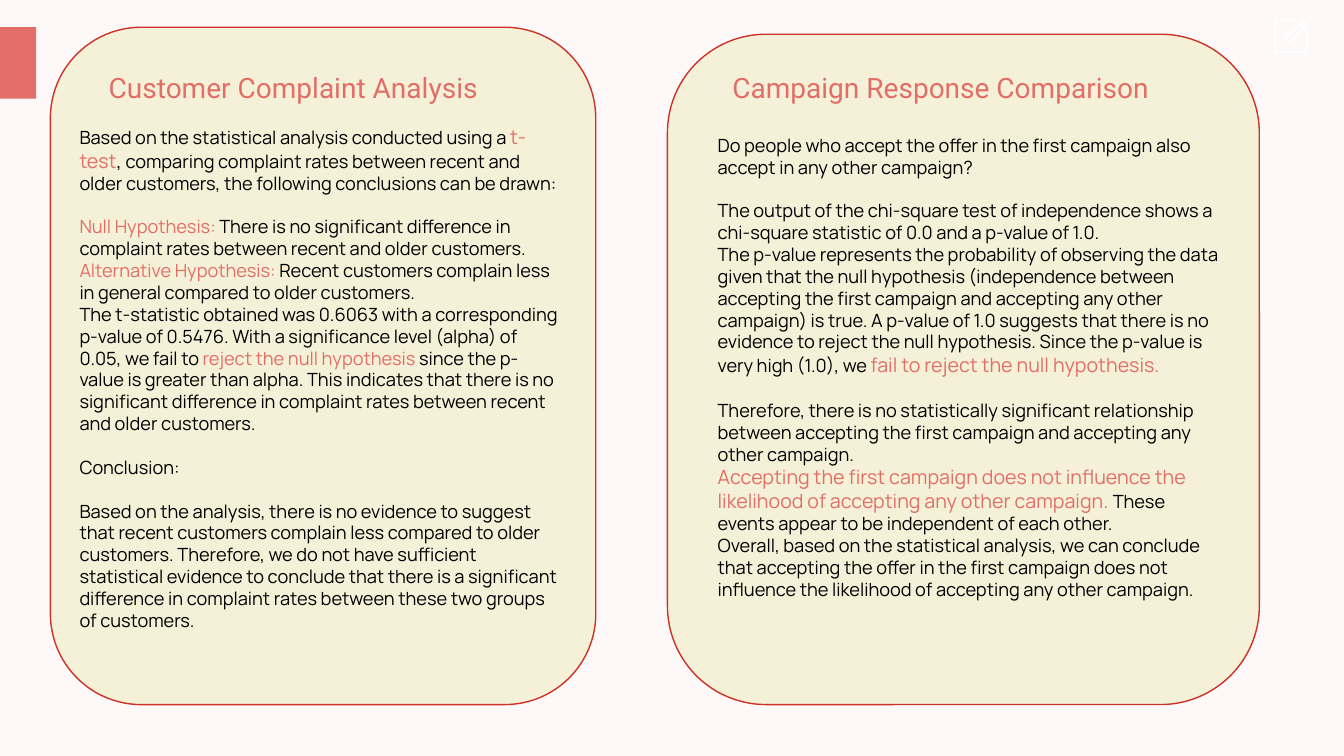
from dataclasses import dataclass

from pptx import Presentation
from pptx.dml.color import RGBColor
from pptx.enum.shapes import MSO_SHAPE
from pptx.enum.text import MSO_AUTO_SIZE, PP_ALIGN
from pptx.util import Inches, Pt

RECTANGLE, ROUNDED = MSO_SHAPE.RECTANGLE, MSO_SHAPE.ROUNDED_RECTANGLE
LEFT, CENTER = PP_ALIGN.LEFT, PP_ALIGN.CENTER
GROW = MSO_AUTO_SIZE.SHAPE_TO_FIT_TEXT

COLORS = {
    "page": "FEF8F8",
    "accent": "E16E67",
    "card": "F5F0D8",
    "border": "CD3229",
    "text": "000000",
    "icon": "FFFFFF",
}
TITLE_FONT, BODY_FONT = "Roboto", "Manrope"
GAP, LARGE_GAP = 15.6, 16.8  # one line of 13 or 14 point text


@dataclass
class Area:
    """Left, top, width and height in percent of the slide."""
    left: float
    top: float
    width: float
    height: float


@dataclass
class Span:
    text: str
    color: str = "text"
    size: int = 13
    font: str = BODY_FONT


@dataclass
class Para:
    spans: list[Span]
    before: float = 0
    align: PP_ALIGN = LEFT


@dataclass
class Panel:
    card: Area
    title_area: Area
    title: str
    title_align: PP_ALIGN
    body_area: Area
    body: list[Para]


# Content of the two panels
COMPLAINTS = Panel(
    Area(3.75, 3.6, 40.58, 89.6),
    Area(7.35, 8.67, 34.88, 5.87), "Customer Complaint Analysis", LEFT,
    Area(5.18, 15.87, 37.06, 71.73),
    [
        Para([
            Span("Based on the statistical analysis conducted using a"),
            Span(" t-test", "accent", 14),
            Span(",", size=14),
            Span(" comparing complaint rates between recent and older customers, "
                 "the following conclusions can be drawn:"),
        ]),
        Para([
            Span("Null Hypothesis: ", "accent"),
            Span("There is no significant difference in complaint rates between "
                 "recent and older customers."),
        ], GAP),
        Para([
            Span("Alternative Hypothesis: ", "accent"),
            Span("Recent customers complain less in general compared to older "
                 "customers."),
        ]),
        Para([
            Span("The t-statistic obtained was 0.6063 with a corresponding p-value "
                 "of 0.5476. With a significance level (alpha) of 0.05, we fail to"),
            Span(" reject the null hypothesis ", "accent"),
            Span("since the p-value is greater than alpha. This indicates that "
                 "there is no significant difference in complaint rates between "
                 "recent and older customers."),
        ]),
        Para([Span("Conclusion:")], GAP),
        Para([
            Span("Based on the analysis, there is no evidence to suggest that "
                 "recent customers complain less compared to older customers. "
                 "Therefore, we do not have sufficient statistical evidence to "
                 "conclude that there is a significant difference in complaint "
                 "rates between these two groups of customers."),
        ], GAP),
    ],
)
CAMPAIGNS = Panel(
    Area(49.66, 4.53, 44.04, 88.67),
    Area(49.06, 8.67, 41.86, 5.87), "Campaign Response Comparison", CENTER,
    Area(52.66, 17.07, 38.78, 69.6),
    [
        Para([Span("Do people who accept the offer in the first campaign also "
                   "accept in any other campaign?")]),
        Para([Span("The output of the chi-square test of independence shows a "
                   "chi-square statistic of 0.0 and a p-value of 1.0.")], GAP),
        Para([
            Span("The p-value represents the probability of observing the data "
                 "given that the null hypothesis (independence between accepting "
                 "the first campaign and accepting any other campaign) is true. "
                 "A p-value of 1.0 suggests that there is no evidence to reject "
                 "the null hypothesis. Since the p-value is very high (1.0), we "),
            Span("fail to reject the null hypothesis.", "accent", 14),
        ]),
        Para([Span("Therefore, there is no statistically significant relationship "
                   "between accepting the first campaign and accepting any other "
                   "campaign.")], LARGE_GAP),
        Para([
            Span("Accepting the first campaign does not influence the likelihood "
                 "of accepting any other campaign. ", "accent", 14),
            Span("These events appear to be independent of each other."),
        ]),
        Para([Span("Overall, based on the statistical analysis, we can conclude "
                   "that accepting the offer in the first campaign does not "
                   "influence the likelihood of accepting any other campaign.")]),
    ],
)

# Edit icon: pencil, its two openings and the open frame
ICON_OUTLINES = [
    [(28, 1), (11, 17), (11, 22), (16, 23), (33, 6), (33, 5), (29, 1)],
    [(16, 21), (13, 21), (13, 18), (25, 6), (28, 8)],
    [(31, 6), (30, 7), (27, 4), (28, 3)],
    [(31, 32), (2, 32), (2, 2), (21, 2), (22, 1), (0, 1), (0, 34), (33, 34),
     (33, 13), (32, 12), (31, 13)],
]

deck = Presentation()
deck.slide_width, deck.slide_height = Inches(13.33), Inches(7.5)
page = deck.slides.add_slide(deck.slide_layouts[6])


def rgb(name: str) -> RGBColor:
    return RGBColor.from_string(COLORS[name])


def place(area: Area) -> list[int]:
    column, row = deck.slide_width / 100, deck.slide_height / 100
    return [round(area.left * column), round(area.top * row),
            round(area.width * column), round(area.height * row)]


def paint(shape, fill: str, border: str | None = None) -> None:
    shape.shadow.inherit = False
    shape.fill.solid()
    shape.fill.fore_color.rgb = rgb(fill)
    if border:
        shape.line.color.rgb = rgb(border)
        shape.line.width = Pt(1)
    else:
        shape.line.fill.background()


def add_text(area: Area, paras: list[Para]) -> None:
    frame = page.shapes.add_textbox(*place(area)).text_frame
    frame.word_wrap = True
    frame.auto_size = GROW
    for index, para in enumerate(paras):
        line = frame.add_paragraph() if index else frame.paragraphs[0]
        line.alignment = para.align
        if para.before:
            line.space_before = Pt(para.before)
        for span in para.spans:
            run = line.add_run()
            run.text = span.text
            run.font.name = span.font
            run.font.size = Pt(span.size)
            run.font.color.rgb = rgb(span.color)


def add_panel(panel: Panel) -> None:
    paint(page.shapes.add_shape(ROUNDED, *place(panel.card)), "card", "border")
    title = Span(panel.title, "accent", 20, TITLE_FONT)
    add_text(panel.title_area, [Para([title], align=panel.title_align)])
    add_text(panel.body_area, panel.body)


def add_icon(area: Area) -> None:
    left, top, width, _ = place(area)
    builder = page.shapes.build_freeform(*ICON_OUTLINES[0][0], scale=width / 33)
    for index, (start, *points) in enumerate(ICON_OUTLINES):
        if index:
            builder.move_to(*start)
        builder.add_line_segments(points, close=True)
    paint(builder.convert_to_shape(left, top), "icon")


# Background, icon and side bar
page.background.fill.solid()
page.background.fill.fore_color.rgb = rgb("page")
add_icon(Area(94.82, 2.53, 2.48, 4.53))
paint(page.shapes.add_shape(RECTANGLE, *place(Area(0, 3.6, 2.7, 9.47))), "accent")

# Panels
for panel in (COMPLAINTS, CAMPAIGNS):
    add_panel(panel)

deck.save("out.pptx")
